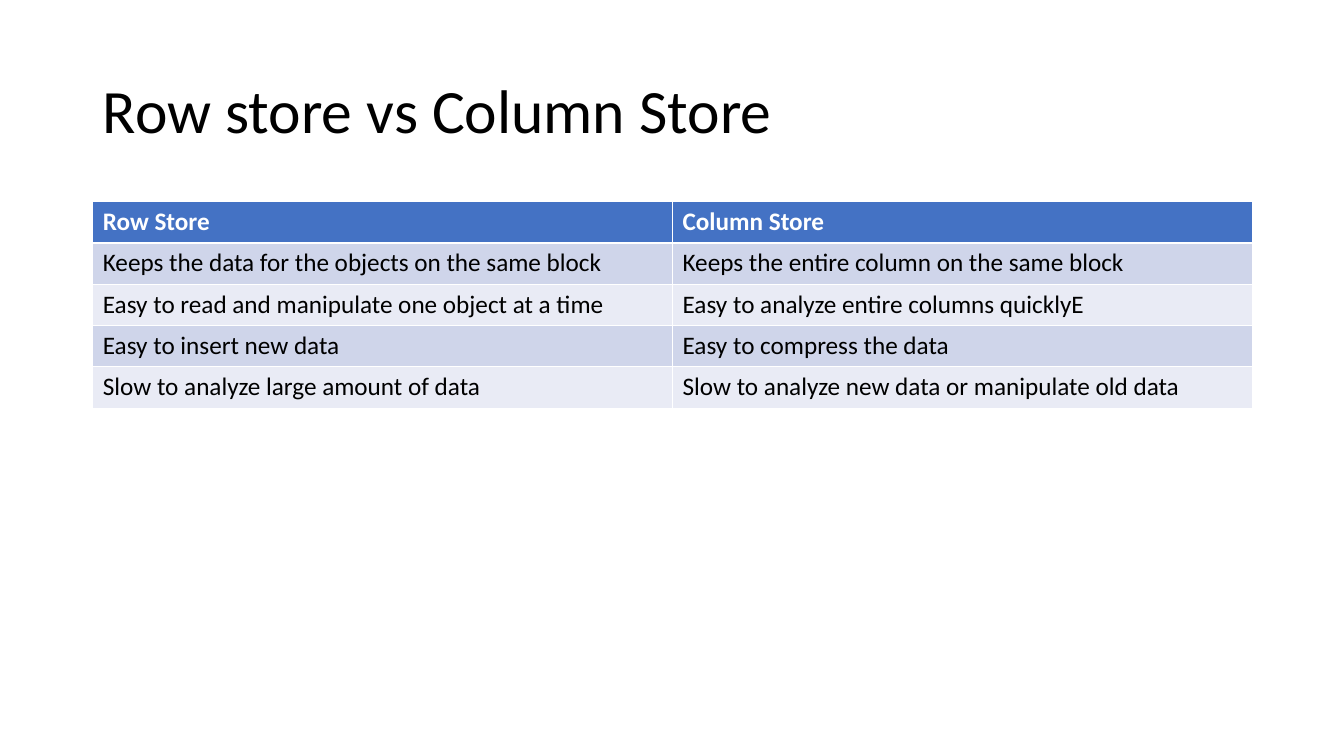
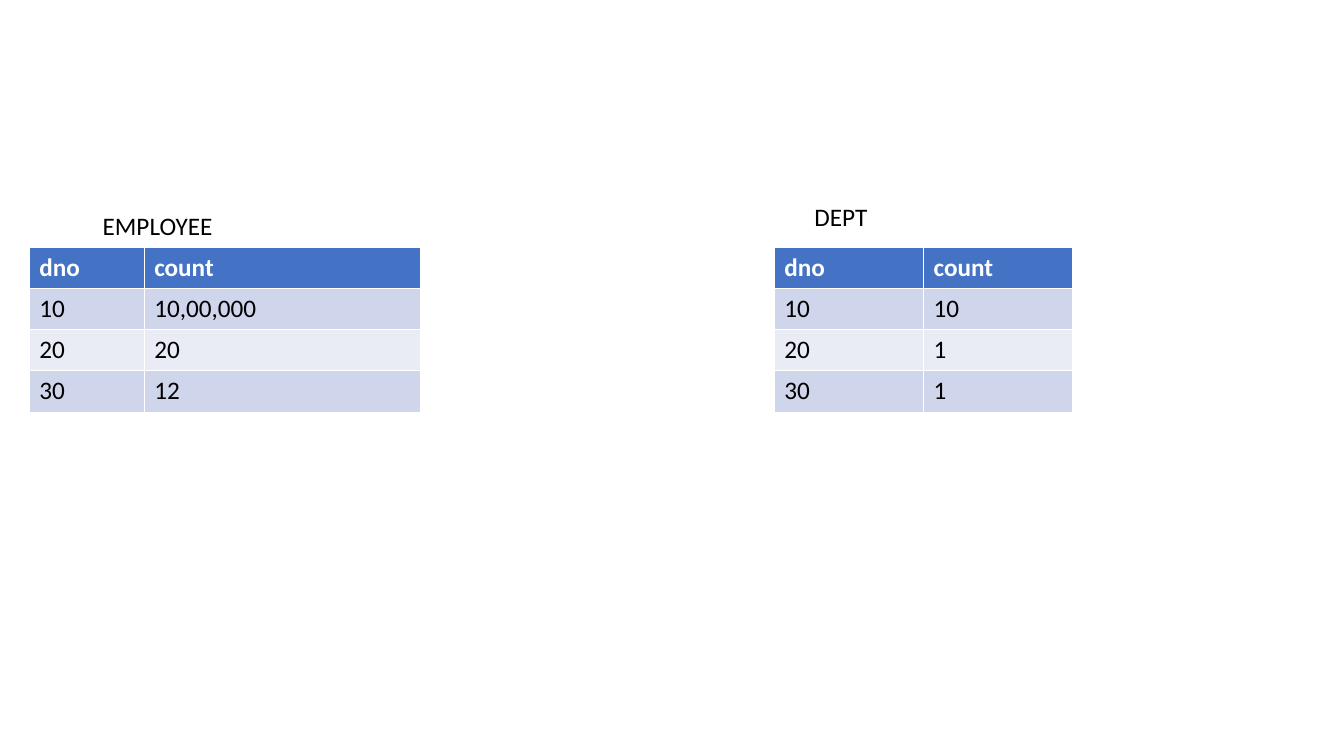
from pptx import Presentation
from pptx.dml.color import RGBColor
from pptx.enum.text import MSO_ANCHOR as Anchor, MSO_AUTO_SIZE as Fit, PP_ALIGN as Align
from pptx.util import Inches, Pt

FONT = "Calibri"
BLACK, WHITE = "000000", "FFFFFF"
HEAD, BANDS = "4472C4", ("CFD5EA", "E9EBF5")
ROW_H = 0.41
TITLE_ONLY, BLANK = 5, 6

TITLE = "Row store vs Column Store"
STORES = [
    ("Row Store", "Column Store"),
    ("Keeps the data for the objects on the same block",
     "Keeps the entire column on the same block"),
    ("Easy to read and manipulate one object at a time",
     "Easy to analyze entire columns quicklyE"),
    ("Easy to insert new data", "Easy to compress the data"),
    ("Slow to analyze large amount of data",
     "Slow to analyze new data or manipulate old data"),
]
# label, label box, table left, column widths, rows
COUNTS = [
    ("EMPLOYEE", (0.92, 2.04, 1.3, 0.4), 0.29, (1.14, 2.74),
     [("dno", "count"), ("10", "10,00,000"), ("20", "20"), ("30", "12")]),
    ("DEPT", (7.98, 1.95, 0.73, 0.4), 7.68, (1.48, 1.48),
     [("dno", "count"), ("10", "10"), ("20", "1"), ("30", "1")]),
]


def rgb(code):
    return RGBColor.from_string(code)


def write(frame, text, size=18, color=BLACK, bold=False):
    """Put one formatted paragraph in the frame and return it."""
    para = frame.paragraphs[0]
    run = para.add_run()
    run.text = text
    look = {"name": FONT, "size": Pt(size), "bold": bold}
    for key, value in look.items():
        setattr(run.font, key, value)
    run.font.color.rgb = rgb(color)
    return para


def add_title(slide, text):
    title = slide.shapes.title
    box = {"left": 0.92, "top": 0.4, "width": 11.5, "height": 1.45}
    for key, value in box.items():
        setattr(title, key, Inches(value))
    frame = title.text_frame
    frame.vertical_anchor = Anchor.MIDDLE
    para = write(frame, text, 44)
    para.alignment = Align.LEFT
    para.line_spacing = 0.9


def add_label(slide, text, box):
    frame = slide.shapes.add_textbox(*map(Inches, box)).text_frame
    frame.word_wrap = False
    frame.auto_size = Fit.SHAPE_TO_FIT_TEXT
    write(frame, text)


def add_grid(slide, left, top, widths, rows):
    """Add a table with a blue header and banded rows."""
    size = (left, top, sum(widths), ROW_H * len(rows))
    table = slide.shapes.add_table(len(rows), len(widths), *map(Inches, size)).table
    for col, width in zip(table.columns, widths):
        col.width = Inches(width)
    for r, row in enumerate(rows):
        table.rows[r].height = Inches(ROW_H)
        head = r == 0
        for c, text in enumerate(row):
            cell = table.cell(r, c)
            cell.fill.solid()
            cell.fill.fore_color.rgb = rgb(HEAD if head else BANDS[(r - 1) % 2])
            write(cell.text_frame, text, color=WHITE if head else BLACK, bold=head)


def main():
    deck = Presentation()
    deck.slide_width, deck.slide_height = Inches(13.33), Inches(7.5)

    slide = deck.slides.add_slide(deck.slide_layouts[TITLE_ONLY])
    add_title(slide, TITLE)
    add_grid(slide, 0.92, 2, (5.75, 5.75), STORES)

    slide = deck.slides.add_slide(deck.slide_layouts[BLANK])
    for label, box, left, widths, rows in COUNTS:
        add_grid(slide, left, 2.45, widths, rows)
        add_label(slide, label, box)

    deck.save("out.pptx")


if __name__ == "__main__":
    main()
